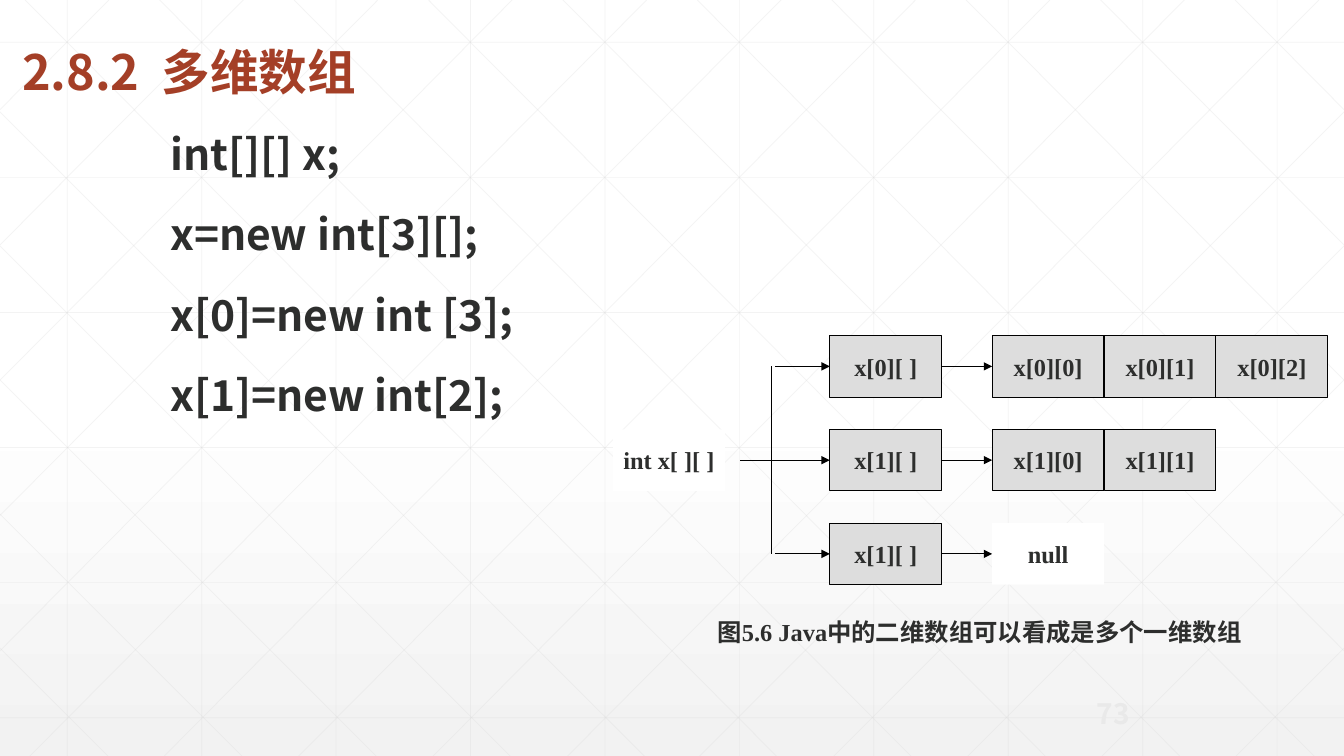
from lxml.etree import SubElement
from pptx import Presentation
from pptx.dml.color import RGBColor
from pptx.enum.shapes import MSO_CONNECTOR, MSO_SHAPE
from pptx.enum.text import MSO_ANCHOR, PP_ALIGN
from pptx.oxml.ns import qn
from pptx.util import Inches, Pt

WIDTH, HEIGHT = 13.33, 7.5
SANS, SERIF = "Noto Sans CJK SC", "Times New Roman"
INK, RUST, BLACK, CELL, WHITE = "2D2E2D", "A43F27", "000000", "DDDDDD", "FFFFFF"
TOP, LEFT, RIGHT = 0, 1, 3


def color(value):
    return RGBColor.from_string(value)


def write(frame, text, size=17.4, font=SERIF, ink=INK, align=PP_ALIGN.LEFT,
          anchor=MSO_ANCHOR.TOP, inset=(0, 0), line_spacing=None, before=0, indent=0):
    """Fill a text frame, one paragraph for each line of text."""
    frame.word_wrap = True
    frame.vertical_anchor = anchor
    frame.margin_left = frame.margin_right = Inches(inset[0])
    frame.margin_top = frame.margin_bottom = Inches(inset[1])
    for number, line in enumerate(text.split("\n")):
        paragraph = frame.add_paragraph() if number else frame.paragraphs[0]
        paragraph.alignment = align
        if line_spacing:
            paragraph.line_spacing = line_spacing
        if number and before:
            paragraph.space_before = Pt(before)
        if indent:
            properties = paragraph._p.get_or_add_pPr()
            properties.set("marL", "0")
            properties.set("indent", str(Inches(indent)))
        run = paragraph.add_run()
        run.text = line
        run.font.size = Pt(size)
        run.font.bold = True
        run.font.name = font
        run.font.color.rgb = color(ink)
        SubElement(run._r.get_or_add_rPr(), qn("a:ea"), typeface=SANS)


def add_text(slide, box, text, **style):
    frame = slide.shapes.add_textbox(*map(Inches, box)).text_frame
    write(frame, text, **style)


def add_box(slide, box, text, fill=CELL, outline=BLACK):
    shape = slide.shapes.add_shape(MSO_SHAPE.RECTANGLE, *map(Inches, box))
    shape.shadow.inherit = False
    shape.fill.solid()
    shape.fill.fore_color.rgb = color(fill)
    if outline:
        shape.line.color.rgb = color(outline)
        shape.line.width = Pt(0.75)
    else:
        shape.line.fill.background()
    write(shape.text_frame, text, align=PP_ALIGN.CENTER, anchor=MSO_ANCHOR.MIDDLE)
    return shape


def add_line(slide, start, end, ink=BLACK, width=0.75, opacity=None, arrow=False):
    line = slide.shapes.add_connector(
        MSO_CONNECTOR.STRAIGHT, *map(Inches, (*start, *end)))
    line.line.color.rgb = color(ink)
    line.line.width = Pt(width)
    stroke = line.line._get_or_add_ln()
    if opacity:
        tint = stroke.find(qn("a:solidFill")).find(qn("a:srgbClr"))
        SubElement(tint, qn("a:alpha"), val=str(opacity * 1000))
    if arrow:
        SubElement(stroke, qn("a:tailEnd"), type="triangle")
    SubElement(line._element.spPr, qn("a:effectLst"))
    return line


def add_background(slide):
    # White fading to pale grey at the bottom
    fill = slide.background.fill
    fill.gradient()
    fill.gradient_angle = 270
    stops = fill._fill._gradFill.find(qn("a:gsLst"))
    for stop in list(stops):
        stops.remove(stop)
    for position, tint in ((0, WHITE), (53, WHITE), (100, "F2F2F2")):
        stop = SubElement(stops, qn("a:gs"), pos=str(position * 1000))
        SubElement(stop, qn("a:srgbClr"), val=tint)

    # Upright and level grid lines
    lines = [((2 / 3 + 4 / 3 * i, 0), (2 / 3 + 4 / 3 * i, HEIGHT)) for i in range(10)]
    lines += [((0, 0.42 + 1.34 * i), (WIDTH, 0.42 + 1.34 * i)) for i in range(6)]

    # Diagonals from the top edge and from the left edge, then their mirror images
    diagonals = []
    for i in range(10):
        x = 0.25 + 4 / 3 * i
        run = min(7.45, WIDTH - x)
        diagonals.append(((x, 0), (x + run, run * HEIGHT / 7.45)))
    for i in range(5):
        y = 1.11 + 1.33 * i
        diagonals.append(((0, y), (HEIGHT - y, HEIGHT)))
    lines += diagonals
    lines += [((WIDTH - x1, y1), (WIDTH - x2, y2)) for (x1, y1), (x2, y2) in diagonals]
    for start, end in lines:
        add_line(slide, start, end, ink="D9D9D9", width=0.5, opacity=30)


def add_code(slide, box):
    code = "int[][] x;\nx=new int[3][];\nx[0]=new int [3];\nx[1]=new int[2];"
    add_text(slide, box, code, size=30.4, font=SANS, inset=(0.1, 0.05),
             line_spacing=1.08, before=18, indent=0.84)


def add_array_diagram(slide, box):
    left, top, width, height = box
    cell_width, cell_height, pitch = 1.11, 0.61, 0.93
    trunk_x, node_x, element_x = left + 1.57, left + 2.15, left + 3.76
    rows = [("x[0][ ]", ["x[0][0]", "x[0][1]", "x[0][2]"]),
            ("x[1][ ]", ["x[1][0]", "x[1][1]"]),
            ("x[1][ ]", ["null"])]
    middles = [top + cell_height / 2 + pitch * i for i in range(len(rows))]

    # Array variable and the trunk that splits into rows
    add_box(slide, (left, top + pitch, cell_width, cell_height), "int x[ ][ ]",
            fill=WHITE, outline=None)
    add_line(slide, (trunk_x, middles[0]), (trunk_x, middles[-1]))

    # Row references with their elements
    for i, (reference, elements) in enumerate(rows):
        y, middle = top + pitch * i, middles[i]
        node = add_box(slide, (node_x, y, cell_width, cell_height), reference)
        cells = []
        for j, element in enumerate(elements):
            is_null = element == "null"
            cells.append(add_box(
                slide, (element_x + cell_width * j, y, cell_width, cell_height), element,
                fill=WHITE if is_null else CELL, outline=None if is_null else BLACK))
        branch_x = left + 1.26 if i == 1 else trunk_x + 0.04
        branch = add_line(slide, (branch_x, middle), (node_x, middle), arrow=True)
        branch.end_connect(node, LEFT)
        pointer = add_line(slide, (node_x + cell_width, middle), (element_x, middle),
                           arrow=True)
        pointer.begin_connect(node, RIGHT)
        pointer.end_connect(cells[0], LEFT)

    # Caption
    add_text(slide, (left + 0.75, top + height - 0.62, 5.77, 0.62),
             "图5.6 Java中的二维数组可以看成是多个一维数组", align=PP_ALIGN.CENTER)


def main():
    deck = Presentation()
    deck.slide_width, deck.slide_height = Inches(WIDTH), Inches(HEIGHT)
    slide = deck.slides.add_slide(deck.slide_layouts[6])
    add_background(slide)
    add_text(slide, (0.12, 0.05, 8.91, 1), "2.8.2  多维数组", size=34.7, font=SANS,
             ink=RUST, anchor=MSO_ANCHOR.BOTTOM, inset=(0.1, 0.05), line_spacing=0.9)
    add_code(slide, (0.75, 1.18, 9.38, 3.42))
    add_array_diagram(slide, (6.08, 3.33, 7.09, 3.41))
    # Page number
    add_text(slide, (10.54, 6.83, 1, 0.5), "73", size=20, font=SANS, ink="E9E9E9",
             align=PP_ALIGN.CENTER, anchor=MSO_ANCHOR.MIDDLE)
    deck.save("out.pptx")


if __name__ == "__main__":
    main()
